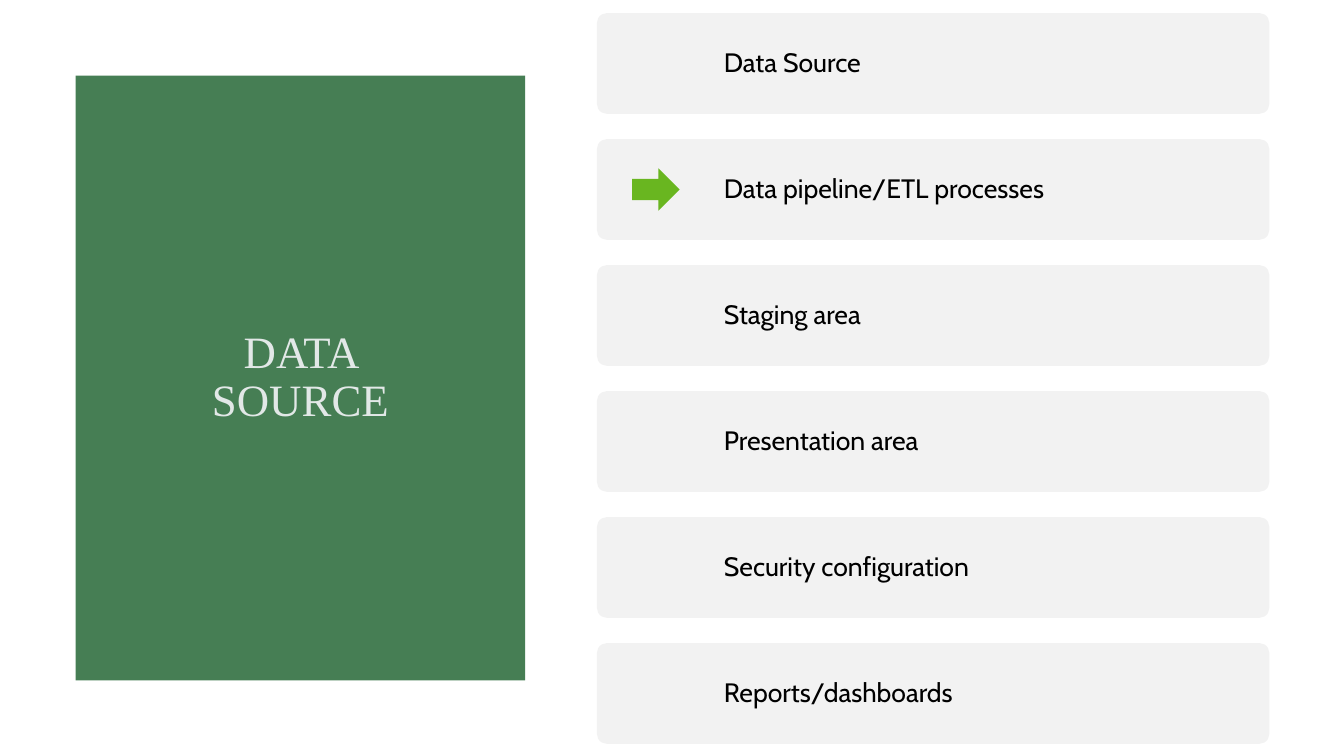
from dataclasses import dataclass

from pptx import Presentation
from pptx import util as u
from pptx.dml.color import RGBColor
from pptx.enum import shapes, text

PX = 9144  # EMU per px, 100 px to the inch

GREEN = RGBColor(0x46, 0x7E, 0x54)
PALE = RGBColor(0xE2, 0xE8, 0xE7)
GREY = RGBColor(0xF2, 0xF2, 0xF2)
LIME = RGBColor(0x69, 0xB6, 0x20)
BLACK = RGBColor(0, 0, 0)

STEPS = [
    "Data Source",
    "Data pipeline/ETL processes",
    "Staging area",
    "Presentation area",
    "Security configuration",
    "Reports/dashboards",
]
FIRST_TOP, PITCH, CARD_HEIGHT = 13, 125, 100


@dataclass(frozen=True)
class Area:
    left: int
    top: int
    width: int
    height: int

    def emu(self) -> list[u.Emu]:
        return [u.Emu(n * PX) for n in (self.left, self.top, self.width, self.height)]


@dataclass(frozen=True)
class Style:
    font: str
    size: int
    color: RGBColor
    align: text.PP_ALIGN
    inset_x: int
    inset_y: int


TITLE = Style("Times New Roman", 32, PALE, text.PP_ALIGN.CENTER, 10, 5)
LABEL = Style("Cabin", 19, BLACK, text.PP_ALIGN.LEFT, 11, 11)


def add_block(page, kind: shapes.MSO_SHAPE, area: Area, color: RGBColor):
    block = page.shapes.add_shape(kind, *area.emu())
    block.shadow.inherit = False
    block.fill.solid()
    block.fill.fore_color.rgb = color
    block.line.fill.background()
    return block


def add_text(page, area: Area, wording: str, style: Style) -> None:
    frame = page.shapes.add_textbox(*area.emu()).text_frame
    frame.word_wrap = True
    frame.vertical_anchor = text.MSO_ANCHOR.MIDDLE
    frame.margin_left = frame.margin_right = style.inset_x * PX
    frame.margin_top = frame.margin_bottom = style.inset_y * PX
    para = frame.paragraphs[0]
    para.alignment = style.align
    para.line_spacing = 0.9
    span = para.add_run()
    span.text = wording
    span.font.name = style.font
    span.font.size = u.Pt(style.size)
    span.font.color.rgb = style.color


def main() -> None:
    deck = Presentation()
    deck.slide_width, deck.slide_height = u.Inches(13.33), u.Inches(7.5)
    page = deck.slides.add_slide(deck.slide_layouts[6])

    # Title panel
    add_block(page, shapes.MSO_SHAPE.RECTANGLE, Area(75, 75, 446, 600), GREEN)
    add_text(page, Area(150, 150, 296, 450), "DATA SOURCE", TITLE)

    # Step cards
    for row, step in enumerate(STEPS):
        top = FIRST_TOP + row * PITCH
        card = add_block(page, shapes.MSO_SHAPE.ROUNDED_RECTANGLE,
                         Area(592, top, 667, CARD_HEIGHT), GREY)
        card.adjustments[0] = 0.1
        add_text(page, Area(707, top, 551, CARD_HEIGHT), step, LABEL)

    # Current step marker
    add_block(page, shapes.MSO_SHAPE.RIGHT_ARROW, Area(627, 167, 47, 42), LIME)

    deck.save("out.pptx")


if __name__ == "__main__":
    main()
